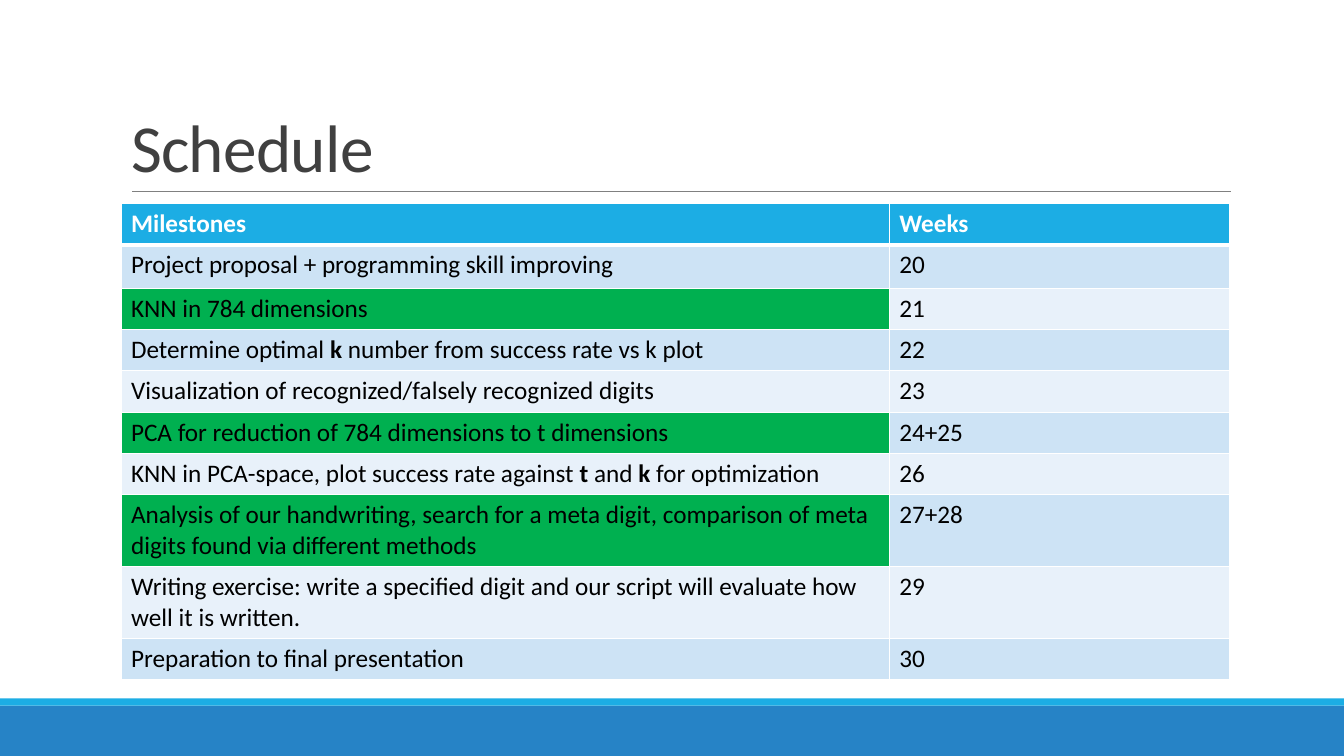
from pptx import Presentation
from pptx.dml.color import RGBColor
from pptx.enum.shapes import MSO_CONNECTOR, MSO_SHAPE
from pptx.enum.text import MSO_ANCHOR, PP_ALIGN
from pptx.oxml.ns import qn
from pptx.util import Inches, Pt
from lxml.etree import SubElement

FONT = "Calibri"
WHITE = RGBColor(0xFF, 0xFF, 0xFF)
BLACK = RGBColor(0x00, 0x00, 0x00)
TITLE_GRAY = RGBColor(0x40, 0x40, 0x40)
RULE_GRAY = RGBColor(0x80, 0x80, 0x80)
CYAN = RGBColor(0x1C, 0xAD, 0xE4)
BLUE = RGBColor(0x26, 0x83, 0xC6)
DARK_BAND = RGBColor(0xCD, 0xE3, 0xF5)
LIGHT_BAND = RGBColor(0xE8, 0xF1, 0xFA)
GREEN = RGBColor(0x00, 0xB0, 0x50)

# Milestone (bold parts between asterisks), weeks, highlighted, row height
SCHEDULE = [
    ("*Milestones*", "*Weeks*", False, 0.41),
    ("Project proposal + programming skill improving", "20", False, 0.43),
    ("KNN in 784 dimensions", "21", True, 0.41),
    ("Determine optimal *k* number from success rate vs k plot", "22", False, 0.41),
    ("Visualization of recognized/falsely recognized digits", "23", False, 0.41),
    ("PCA for reduction of 784 dimensions to t dimensions", "24+25", True, 0.41),
    ("KNN in PCA-space, plot success rate against *t* and *k* for optimization",
     "26", False, 0.41),
    ("Analysis of our handwriting, search for a meta digit, comparison of meta "
     "digits found via different methods", "27+28", True, 0.71),
    ("Writing exercise: write a specified digit and our script will evaluate how "
     "well it is written.", "29", False, 0.71),
    ("Preparation to final presentation", "30", False, 0.41),
]


def add_run(paragraph, text, size, color, bold=False):
    run = paragraph.add_run()
    run.text = text
    run.font.name = FONT
    run.font.size = Pt(size)
    run.font.bold = bold
    run.font.color.rgb = color
    return run


def set_borders(cell, bottom_width):
    props = cell._tc.get_or_add_tcPr()
    for side, width in (("L", 1), ("R", 1), ("T", 1), ("B", bottom_width)):
        border = SubElement(props, qn(f"a:ln{side}"), w=str(Pt(width)))
        fill = SubElement(border, qn("a:solidFill"))
        SubElement(fill, qn("a:srgbClr"), val=str(WHITE))


prs = Presentation()
prs.slide_width, prs.slide_height = Inches(13.33), Inches(7.5)
slide = prs.slides.add_slide(prs.slide_layouts[5])

# Footer bands
for top, height, color in ((7, 0.5, BLUE), (6.93, 0.07, CYAN)):
    band = slide.shapes.add_shape(
        MSO_SHAPE.RECTANGLE, 0, Inches(top), prs.slide_width, Inches(height))
    band.shadow.inherit = False
    band.fill.solid()
    band.fill.fore_color.rgb = color
    band.line.fill.background()

# Title and the rule below it
title = slide.shapes.title
title.left, title.top = Inches(1.2), Inches(0.31)
title.width, title.height = Inches(11), Inches(1.59)
title.text_frame.vertical_anchor = MSO_ANCHOR.BOTTOM
heading = title.text_frame.paragraphs[0]
heading.alignment = PP_ALIGN.LEFT
heading.line_spacing = 0.85
heading_run = add_run(heading, "Schedule", 48, TITLE_GRAY)
heading_run.font._element.set("spc", "-50")

rule = slide.shapes.add_connector(
    MSO_CONNECTOR.STRAIGHT, Inches(1.31), Inches(1.9), Inches(12.21), Inches(1.9))
rule.line.color.rgb = RULE_GRAY
rule.line.width = Pt(0.5)
SubElement(rule._element.spPr, qn("a:effectLst"))

# Schedule table
table_height = sum(entry[3] for entry in SCHEDULE)
schedule = slide.shapes.add_table(
    len(SCHEDULE), 2, Inches(1.2), Inches(2.02), Inches(11), Inches(table_height)).table
for column, width in zip(schedule.columns, (7.62, 3.38)):
    column.width = Inches(width)

for row, (milestone, weeks, highlighted, height) in enumerate(SCHEDULE):
    schedule.rows[row].height = Inches(height)
    is_header = row == 0
    band_color = CYAN if is_header else DARK_BAND if row % 2 else LIGHT_BAND
    milestone_color = GREEN if highlighted else band_color
    for col, (text, color) in enumerate(((milestone, milestone_color), (weeks, band_color))):
        cell = schedule.cell(row, col)
        set_borders(cell, 3 if is_header else 1)
        cell.fill.solid()
        cell.fill.fore_color.rgb = color
        paragraph = cell.text_frame.paragraphs[0]
        for part, words in enumerate(text.split("*")):
            if words:
                add_run(paragraph, words, 18, WHITE if is_header else BLACK, part % 2 == 1)

prs.save("out.pptx")
